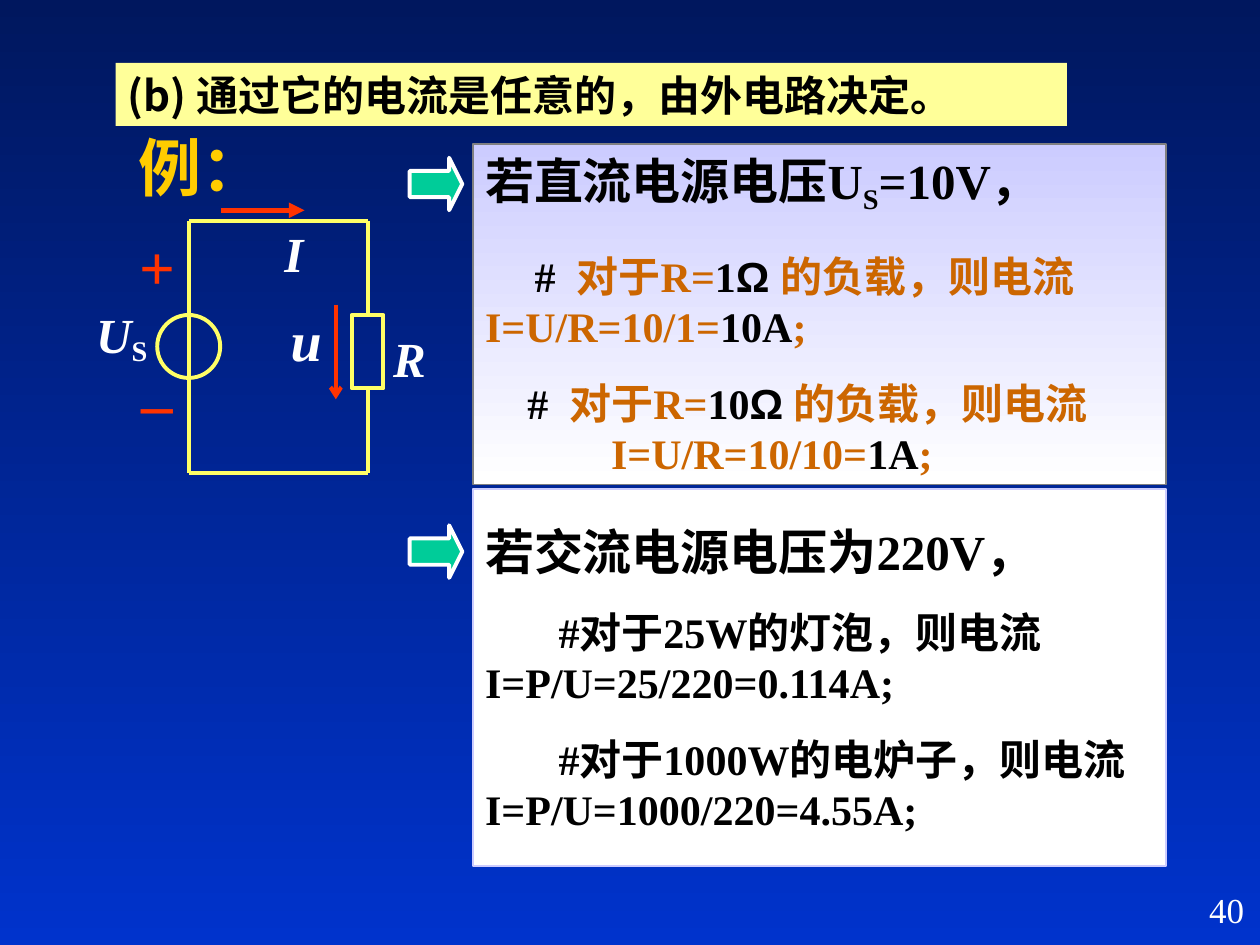
from pptx import Presentation
from pptx.dml.color import RGBColor
from pptx.enum.shapes import MSO_CONNECTOR, MSO_SHAPE as SHAPE
from pptx.enum.text import MSO_ANCHOR, PP_ALIGN
from pptx.oxml.ns import qn
from pptx.util import Cm, Pt
from lxml.etree import SubElement

NAVY = RGBColor(0x00, 0x17, 0x5E)
BLUE = RGBColor(0x00, 0x33, 0xCC)
WHITE = RGBColor(0xFF, 0xFF, 0xFF)
BLACK = RGBColor(0x00, 0x00, 0x00)
GOLD = RGBColor(0xFF, 0xCC, 0x00)
CREAM = RGBColor(0xFF, 0xFF, 0x99)
YELLOW = RGBColor(0xFF, 0xFF, 0x66)
RED = RGBColor(0xFF, 0x33, 0x00)
ORANGE = RGBColor(0xCC, 0x66, 0x00)
LILAC = RGBColor(0xCC, 0xCC, 0xFF)
GREY = RGBColor(0x80, 0x80, 0x80)
GREEN = RGBColor(0x00, 0xCC, 0x99)
SERIF, SANS, CJK = "Times New Roman", "Arial", "Noto Sans CJK SC"


def shade(fill, top, bottom):
    """Vertical gradient."""
    fill.gradient()
    fill.gradient_angle = 270
    for stop, color, pos in zip(fill.gradient_stops, (top, bottom), (0, 1)):
        stop.color.rgb, stop.position = color, pos


def add_box(slide, kind, x, y, w, h, fill=None, line=None, weight=1):
    sp = slide.shapes.add_shape(kind, Cm(x), Cm(y), Cm(w), Cm(h))
    sp.shadow.inherit = False
    if fill is None:
        sp.fill.background()
    else:
        sp.fill.solid()
        sp.fill.fore_color.rgb = fill
    if line is None:
        sp.line.fill.background()
    else:
        sp.line.color.rgb, sp.line.width = line, Pt(weight)
    return sp


def add_line(slide, x1, y1, x2, y2, color=YELLOW, weight=2.25, head=None):
    cxn = slide.shapes.add_connector(
        MSO_CONNECTOR.STRAIGHT, Cm(x1), Cm(y1), Cm(x2), Cm(y2))
    cxn.line.color.rgb, cxn.line.width = color, Pt(weight)
    if head:
        SubElement(cxn.line._get_or_add_ln(), qn("a:tailEnd"), type=head)
    SubElement(cxn._element.spPr, qn("a:effectLst"))
    return cxn


def write(p, runs, size, color=BLACK, font=SERIF, bold=True, italic=False,
          align=PP_ALIGN.LEFT):
    """Fill a paragraph; a run is (text, overrides) and None breaks the line."""
    p.alignment = align
    f = p.font
    f.name, f.size, f.bold, f.italic = font, Pt(size), bold, italic
    f.color.rgb = color
    for run in runs:
        if run is None:
            p.add_line_break()
            continue
        text, own = run
        r = p.add_run()
        r.text = text
        if "color" in own:
            r.font.color.rgb = own["color"]
        if "font" in own:
            r.font.name = own["font"]
        if "base" in own:
            r.font._element.set("baseline", str(own["base"] * 1000))
        if "spacing" in own:
            r.font._element.set("spc", str(own["spacing"] * 100))


def add_label(slide, x, y, w, h, runs, size, color=WHITE, **style):
    tb = slide.shapes.add_textbox(Cm(x), Cm(y), Cm(w), Cm(h))
    tf = tb.text_frame
    tf.word_wrap = True
    tf.vertical_anchor = MSO_ANCHOR.MIDDLE
    if isinstance(runs, str):
        runs = [(runs, {})]
    write(tf.paragraphs[0], runs, size, color, **style)
    return tb


def draw_heading(slide, x, y, w, h):
    sp = add_box(slide, SHAPE.RECTANGLE, x, y, w, h, CREAM)
    write(sp.text_frame.paragraphs[0],
          [("(b) 通过它的电流是任意的，由外电路决定。", {})], 24, font=CJK)
    add_label(slide, x + 0.22, y + 1.2, 3.18, 1.78, "例：", 36, GOLD)


def draw_circuit(slide, x, y, w, h):
    """Voltage source on the left wire, resistor on the right wire."""
    right, bottom = x + w, y + h
    mid = dict(align=PP_ALIGN.CENTER)
    # Wires, source and resistor
    for x2, y2 in ((x, bottom), (right, y)):
        add_line(slide, x, y, x2, y2)
    add_line(slide, x, bottom, right, bottom)
    add_box(slide, SHAPE.OVAL, x - 0.64, y + 1.9, 1.27, 1.27,
            line=YELLOW, weight=2.25)
    resistor = add_box(slide, SHAPE.RECTANGLE, right - 0.32, y + 1.9, 0.64,
                       1.48, line=YELLOW, weight=2.25)
    for end, site, at in ((y, 0, y + 1.9), (bottom, 2, y + 3.38)):
        add_line(slide, right, end, right, at).end_connect(resistor, site)
    # Current and voltage arrows
    add_line(slide, x + 0.64, y - 0.21, x + 2.33, y - 0.21, RED, 3, "triangle")
    add_line(slide, x + 2.96, y + 1.69, x + 2.96, y + 3.6, RED, 2.25, "arrow")
    # Signs and symbols
    for sign, dy in (("+", 0), ("–", 2.75)):
        add_label(slide, x - 1.69, y + dy, 2.12, 1.78, sign, 36, RED, **mid)
    for symbol, dx, dy in (("R", 3.81, 2.04), ("I", 1.48, -0.08)):
        add_label(slide, x + dx, y + dy, 1.27, 1.44, symbol, 28,
                  italic=True, **mid)
    add_label(slide, x + 1.8, y + 1.58, 1.48, 1.62, "u", 32, italic=True)
    us = add_label(slide, x - 2.12, y + 1.54, 1.9, 1.56,
                   [("U", {}), ("S", {"base": -18})], 28, italic=True)
    us.text_frame.paragraphs[0].runs[1].font.italic = False


def draw_case(slide, x, y, w, h, title, items, fill, line, arrow_dy):
    """Panel with a title and items (space before, first-line indent, runs)."""
    sp = add_box(slide, SHAPE.RECTANGLE, x, y, w, h, fill, line)
    tf = sp.text_frame
    tf.word_wrap = True
    write(tf.paragraphs[0], title, 28)
    for before, indent, runs in items:
        p = tf.add_paragraph()
        p.space_before = Pt(before)
        pPr = p._p.get_or_add_pPr()
        pPr.set("marL", "0")
        pPr.set("indent", str(Cm(indent)))
        write(p, runs, 24)
    arrow = add_box(slide, SHAPE.RIGHT_ARROW, x - 1.27, y + arrow_dy, 1.06,
                    1.06, GREEN, WHITE, 2.25)
    arrow.adjustments[0], arrow.adjustments[1] = 0.5, 0.25
    return sp


def load_runs(ohms):
    """Opening line for one resistive load, with the givens in black."""
    accent = {"color": ORANGE}
    return [("# ", {"spacing": 3}), ("对于R=", accent), (ohms, {}),
            ("Ω", {"font": SANS}), (" 的负载，则电流", accent)]


def result_runs(formula, result):
    accent = {"color": ORANGE}
    return [(formula, accent), (result, {}), (";", accent)]


def main():
    prs = Presentation()
    prs.slide_width, prs.slide_height = Cm(25.4), Cm(19.05)
    slide = prs.slides.add_slide(prs.slide_layouts[6])
    shade(slide.background.fill, NAVY, BLUE)

    draw_circuit(slide, 3.81, 4.45, 3.6, 5.08)

    # DC and AC cases
    dc = draw_case(
        slide, 9.53, 2.9, 13.97, 6.87,
        [("若直流电源电压U", {}), ("S", {"base": -20}), ("=10V，", {})],
        [(20, 1, load_runs("1") + [None] + result_runs("I=U/R=10/1=", "10A")),
         (15, 0.85, load_runs("10")),
         (0, 2.54, result_runs("I=U/R=10/10=", "1A"))],
        WHITE, GREY, 0.28)
    shade(dc.fill, LILAC, WHITE)
    draw_case(
        slide, 9.53, 9.86, 13.97, 7.6, [("若交流电源电压为220V，", {})],
        [(15, 1.48, [("#对于25W的灯泡，则电流", {}), None,
                     ("I=P/U=25/220=0.114A;", {})]),
         (15, 1.48, [("#对于1000W的电炉子，则电流", {}),
                     (" ", {"spacing": 37}), ("I=P/U=1000/220=4.55A;", {})])],
        WHITE, LILAC, 0.73)

    draw_heading(slide, 2.33, 1.27, 19.18, 1.27)
    # Page number
    add_label(slide, 20.04, 17.7, 5.29, 1.27, "40", 20, bold=False,
              align=PP_ALIGN.RIGHT)
    prs.save("out.pptx")


if __name__ == "__main__":
    main()
